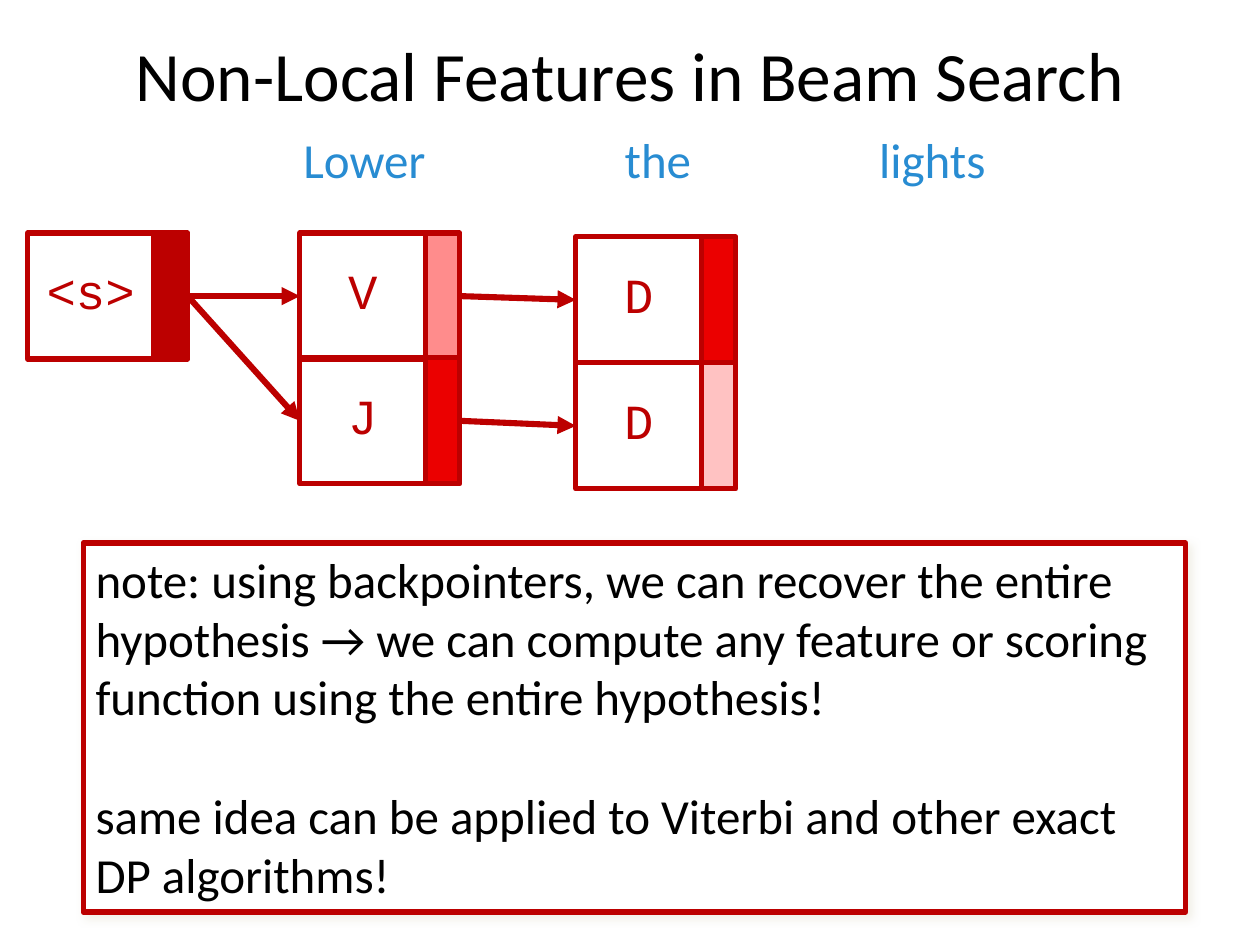
from dataclasses import dataclass

from lxml.etree import SubElement
from pptx import Presentation
from pptx.dml.color import RGBColor
from pptx.enum.shapes import MSO_CONNECTOR as Line, MSO_SHAPE as Shape
from pptx.enum.text import MSO_ANCHOR as Anchor, PP_ALIGN as Align
from pptx.oxml import parse_xml
from pptx.oxml.ns import nsdecls, qn
from pptx.slide import Slide
from pptx.util import Inches, Pt

SHADOW = (
    f'<a:effectLst {nsdecls("a")}><a:outerShdw blurRad="63500" dist="38100" dir="2700000">'
    '<a:srgbClr val="EEECE1"><a:alpha val="75000"/></a:srgbClr></a:outerShdw></a:effectLst>'
)


def colour(value):
    return RGBColor.from_string(value)


def write(frame, text, font="Calibri", size=28, ink="000000", align=Align.LEFT,
          anchor=Anchor.TOP, gap=0):
    frame.word_wrap = True
    frame.vertical_anchor = anchor
    for index, line in enumerate(text.split("\n")):
        paragraph = frame.paragraphs[0] if index == 0 else frame.add_paragraph()
        paragraph.alignment = align
        if index:
            paragraph.space_before = Pt(gap)
        run = paragraph.add_run()
        run.text = line
        run.font.name, run.font.size = font, Pt(size)
        run.font.color.rgb = colour(ink)


@dataclass
class BeamSlide:
    """Style and drawing methods for the beam search slide."""

    slide: Slide
    red: str = "BC0000"
    blue: str = "288CD2"
    outline: float = 3
    arrow_width: float = 3.5
    cell: float = 1
    strip: float = 0.27

    def text(self, left, top, width, height, text, **style):
        box = self.slide.shapes.add_textbox(*map(Inches, (left, top, width, height)))
        write(box.text_frame, text, **style)

    def rect(self, left, top, width, height, fill=None):
        box = self.slide.shapes.add_shape(
            Shape.RECTANGLE, *map(Inches, (left, top, width, height)))
        box.shadow.inherit = False
        box.line.color.rgb = colour(self.red)
        box.line.width = Pt(self.outline)
        if fill:
            box.fill.solid()
            box.fill.fore_color.rgb = colour(fill)
        else:
            box.fill.background()
        return box

    def state(self, left, top, label, score):
        tag = self.rect(left, top, self.cell, self.cell)
        frame = tag.text_frame
        frame.margin_left = frame.margin_right = frame.margin_top = 0
        frame.margin_bottom = Inches(0.09)
        write(frame, label, font="Courier New", ink=self.red,
              align=Align.CENTER, anchor=Anchor.MIDDLE)
        return tag, self.rect(left + self.cell, top, self.strip, self.cell, score)

    def arrow(self, source, target):
        link = self.slide.shapes.add_connector(Line.STRAIGHT, 0, 0, 0, 0)
        link.begin_connect(source[1], 3)
        link.end_connect(target[0], 1)
        link.line.color.rgb = colour(self.red)
        link.line.width = Pt(self.arrow_width)
        SubElement(link.line._get_or_add_ln(), qn("a:tailEnd"), type="triangle")
        SubElement(link._element.spPr, qn("a:effectLst"))

    def note(self, left, top, width, height, text):
        box = self.rect(left, top, width, height, "FFFFFF")
        properties = box._element.spPr
        properties.replace(properties.find(qn("a:effectLst")), parse_xml(SHADOW))
        write(box.text_frame, text, gap=34)


def main():
    deck = Presentation()
    deck.slide_width, deck.slide_height = Inches(10), Inches(7.5)
    beam = BeamSlide(deck.slides.add_slide(deck.slide_layouts[6]))

    beam.text(0.5, 0.19, 9, 0.79, "Non-Local Features in Beam Search",
              size=39.6, align=Align.CENTER, anchor=Anchor.MIDDLE)
    for left, word in ((2.31, "Lower"), (4.86, "the"), (6.88, "lights")):
        beam.text(left, 0.98, 1.5, 0.57, word, ink=beam.blue)

    start = beam.state(0.22, 1.85, "<s>", beam.red)
    verb = beam.state(2.38, 1.85, "V", "FF8C8C")
    adjective = beam.state(2.38, 2.84, "J", "EB0000")
    verb_next = beam.state(4.57, 1.88, "D", "EB0000")
    adjective_next = beam.state(4.57, 2.88, "D", "FFC2C2")
    for source, target in ((start, verb), (start, adjective),
                           (verb, verb_next), (adjective, adjective_next)):
        beam.arrow(source, target)

    beam.note(0.66, 4.31, 8.75, 2.93,
              "note: using backpointers, we can recover the entire hypothesis → we can "
              "compute any feature or scoring function using the entire hypothesis!\n"
              "same idea can be applied to Viterbi and other exact DP algorithms!")
    deck.save("out.pptx")


if __name__ == "__main__":
    main()
